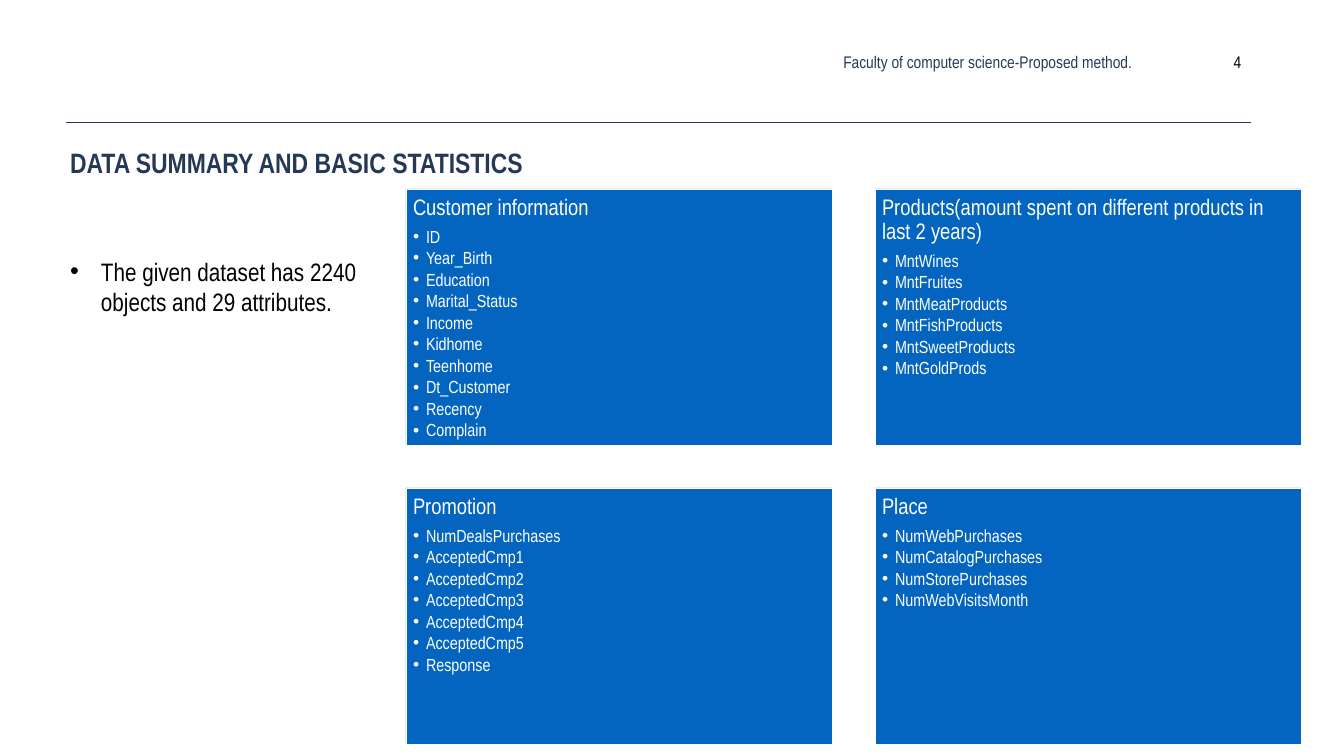
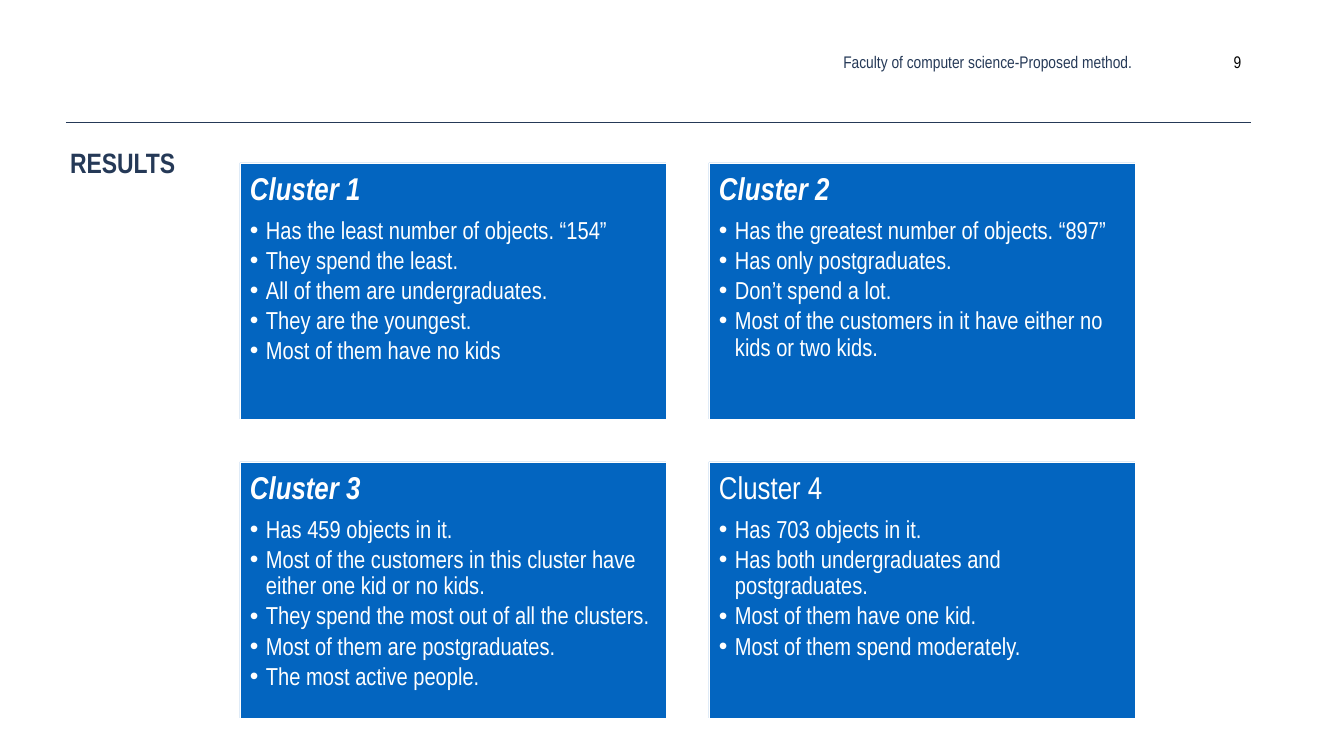
from lxml.etree import SubElement
from pptx import Presentation
from pptx.dml.color import RGBColor
from pptx.enum.shapes import MSO_CONNECTOR, MSO_SHAPE
from pptx.enum.text import MSO_ANCHOR, MSO_AUTO_SIZE, PP_ALIGN
from pptx.oxml.ns import qn
from pptx.util import Pt

SCALE = 914400 / 50.4
FONT = "Arial Narrow"
NAVY, BLUE, WHITE, BLACK = "253957", "0365C0", "FFFFFF", "000000"
FOOTER = "Faculty of computer science-Proposed method."
CARD_W, CARD_H, GAP = 426, 256, 43


def px(*vals):
    """Turn pixel lengths into a list of EMU."""
    return [round(v * SCALE) for v in vals]


def color(code):
    """Turn a hex string into a colour."""
    return RGBColor.from_string(code)


def frame(shape, inset, anchor=MSO_ANCHOR.TOP, wrap=True):
    """Set up the text frame of a shape and return it."""
    text = shape.text_frame
    text.auto_size = MSO_AUTO_SIZE.NONE
    text.word_wrap = wrap
    text.vertical_anchor = anchor
    edge = px(inset)[0]
    text.margin_left = text.margin_right = edge
    text.margin_top = text.margin_bottom = edge
    return text


def write(para, words, size, ink, bold=False, italic=False, align=PP_ALIGN.LEFT):
    """Add one formatted run to a paragraph."""
    para.alignment = align
    run = para.add_run()
    run.text = words
    font = run.font
    font.name, font.size = FONT, Pt(size)
    font.bold, font.italic = bold, italic
    font.color.rgb = color(ink)


def bullet(para, indent):
    """Give a paragraph a round bullet with a hanging indent."""
    props = para._p.get_or_add_pPr()
    left = px(indent)[0]
    props.set("marL", str(left))
    props.set("indent", str(-left))
    SubElement(props, qn("a:buFont"), typeface="Arial")
    SubElement(props, qn("a:buChar"), char="\u2022")


def tighten(para, size, share):
    """Set close lines and a gap below in proportion to the text size."""
    para.line_spacing = 0.9
    para.space_after = Pt(round(size * share, 2))


def header(slide, number):
    """Draw the running head, the page number and the rule."""
    note = slide.shapes.add_textbox(*px(509, 48, 627, 28))
    text = frame(note, 4, MSO_ANCHOR.MIDDLE)
    write(text.paragraphs[0], FOOTER, 24, NAVY, align=PP_ALIGN.RIGHT)
    page = slide.shapes.add_textbox(*px(1224, 48, 27, 28))
    text = frame(page, 4, wrap=False)
    write(text.paragraphs[0], str(number), 24, BLACK, align=PP_ALIGN.CENTER)
    rule = slide.shapes.add_connector(MSO_CONNECTOR.STRAIGHT, *px(66, 122, 1251, 122))
    rule.line.color.rgb = color(NAVY)
    rule.line.width = Pt(1)
    SubElement(rule._element.spPr, qn("a:effectLst"))


def start(deck, title, number):
    """Add a slide with its title and running head."""
    slide = deck.slides.add_slide(deck.slide_layouts[5])
    head = slide.shapes.title
    head.left, head.top, head.width, head.height = px(66, 142, 1185, 127)
    write(frame(head, 4).paragraphs[0], title, 40, NAVY, bold=True)
    header(slide, number)
    return slide


def card(slide, box, look, title, strong, items):
    """Draw one blue card with a heading and its bullets."""
    big, small, inset, indent = look
    shape = slide.shapes.add_shape(MSO_SHAPE.RECTANGLE, *px(*box))
    shape.shadow.inherit = False
    shape.fill.solid()
    shape.fill.fore_color.rgb = color(BLUE)
    shape.line.color.rgb = color(WHITE)
    shape.line.width = Pt(0.75)
    text = frame(shape, inset)
    para = text.paragraphs[0]
    tighten(para, big, 0.35)
    write(para, title, big, WHITE, bold=strong, italic=strong)
    for item in items:
        para = text.add_paragraph()
        para.level = 1
        tighten(para, small, 0.15)
        bullet(para, indent)
        write(para, item, small, WHITE)


def grid(slide, left, top, look, cards):
    """Place the cards in two columns from a top left corner."""
    for i, (title, strong, items) in enumerate(cards):
        row, col = divmod(i, 2)
        box = (left + col * (CARD_W + GAP), top + row * (CARD_H + GAP), CARD_W, CARD_H)
        card(slide, box, look, title, strong, items)


def summary(slide, box, words):
    """Write the bulleted remark beside the cards."""
    note = slide.shapes.add_textbox(*px(*box))
    para = frame(note, 4).paragraphs[0]
    bullet(para, 31)
    write(para, words, 36, BLACK)


FIELDS = [
    ("Customer information", False,
     ["ID", "Year_Birth", "Education", "Marital_Status", "Income", "Kidhome",
      "Teenhome", "Dt_Customer", "Recency", "Complain"]),
    ("Products(amount spent on different products in last 2 years)", False,
     ["MntWines", "MntFruites", "MntMeatProducts", "MntFishProducts",
      "MntSweetProducts", "MntGoldProds"]),
    ("Promotion", False,
     ["NumDealsPurchases", "AcceptedCmp1", "AcceptedCmp2", "AcceptedCmp3",
      "AcceptedCmp4", "AcceptedCmp5", "Response"]),
    ("Place", False,
     ["NumWebPurchases", "NumCatalogPurchases", "NumStorePurchases",
      "NumWebVisitsMonth"]),
]
GROUPS = [
    ("Cluster 1", True,
     ["Has the least number of objects. \u201c154\u201d", "They spend the least.",
      "All of them are undergraduates.", "They are the youngest.",
      "Most of them have no kids"]),
    ("Cluster 2", True,
     ["Has the greatest number of objects. \u201c897\u201d",
      "Has only postgraduates.", "Don\u2019t spend a lot.",
      "Most of the customers in it have either no kids or two kids."]),
    ("Cluster 3", True,
     ["Has 459 objects in it.",
      "Most of the customers in this cluster have either one kid or no kids.",
      "They spend the most out of all the clusters.",
      "Most of them are postgraduates.", "The most active people."]),
    ("Cluster 4", False,
     ["Has 703 objects in it.", "Has both undergraduates and postgraduates.",
      "Most of them have one kid.", "Most of them spend moderately."]),
]

deck = Presentation()
deck.slide_width, deck.slide_height = px(1344, 756)

data = start(deck, "DATA SUMMARY AND BASIC STATISTICS", 4)
summary(data, (66, 252, 326, 281), "The given dataset has 2240 objects and 29 attributes.")
grid(data, 406, 189, (32, 25, 7, 13), FIELDS)

result = start(deck, "RESULTS", 9)
grid(result, 240, 163, (45, 35, 10, 16), GROUPS)

deck.save("out.pptx")
